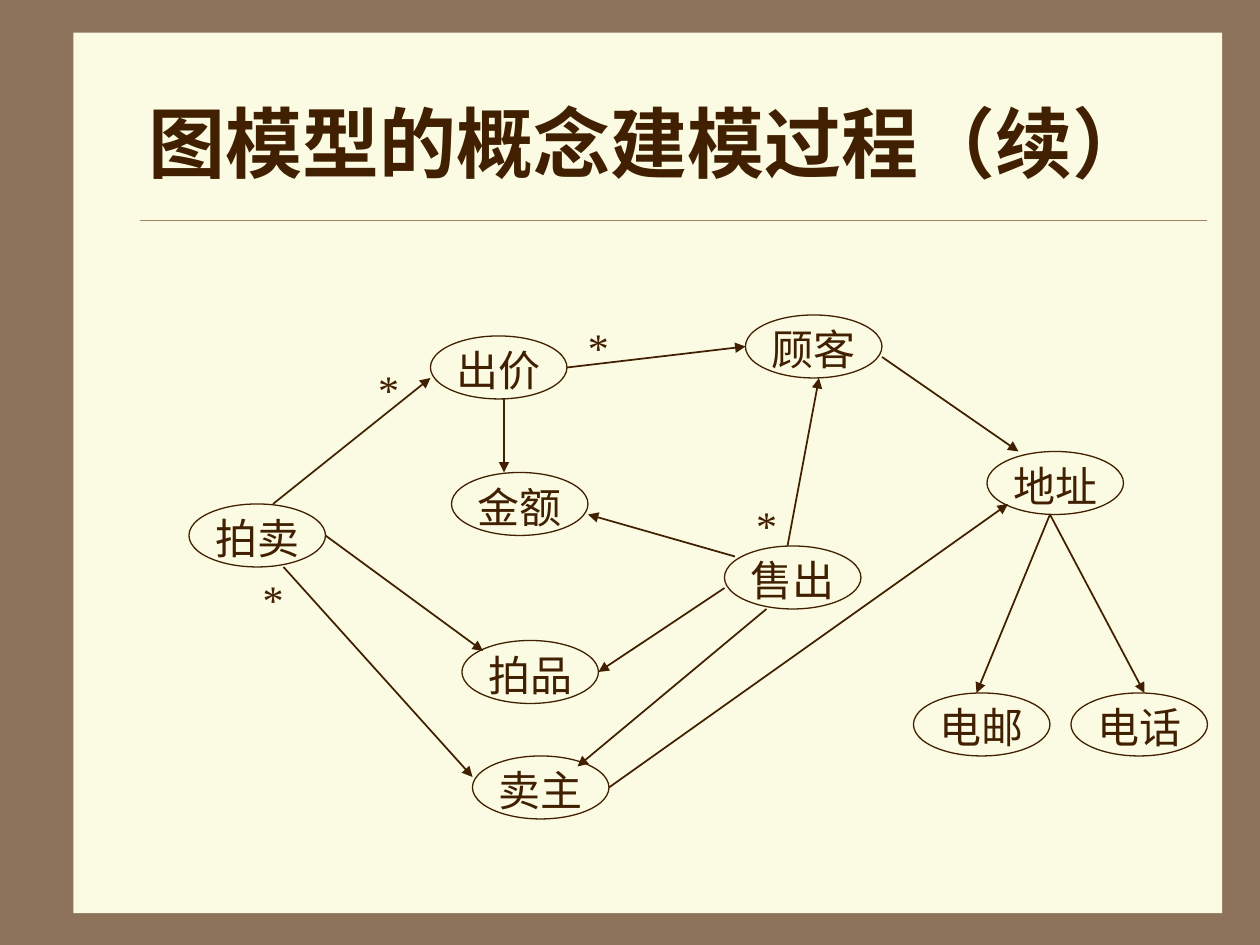
from lxml.etree import SubElement
from pptx import Presentation
from pptx.dml.color import RGBColor
from pptx.enum.shapes import MSO_CONNECTOR, MSO_SHAPE
from pptx.enum.text import MSO_ANCHOR, MSO_AUTO_SIZE, PP_ALIGN
from pptx.oxml.ns import qn
from pptx.util import Cm, Pt

BROWN = RGBColor(0x8C, 0x73, 0x5A)
CREAM = RGBColor(0xFB, 0xFA, 0xE2)
TAN = RGBColor(0xA0, 0x83, 0x66)
INK = RGBColor(0x40, 0x20, 0x00)

BODY = {"name": "Times New Roman", "size": Pt(24), "bold": False}
HEADING = {"name": "Times New Roman", "size": Pt(44), "bold": True}

# The layout sits on a grid of twelve steps to the inch
STEP = 2.54 / 12
NODE_SIZE = (13, 6)
STAR_SIZE = (8, 6)

# Left and top of each ellipse, in grid steps
NODES = {
    "拍卖": (18, 48), "出价": (41, 32), "金额": (43, 45), "拍品": (44, 61),
    "卖主": (45, 72), "售出": (69, 52), "顾客": (71, 30), "地址": (94, 43),
    "电邮": (87, 66), "电话": (102, 66),
}

# Start and end of each arrow, in grid steps
ARROWS = [
    ((26, 48), (41, 36)),   # 拍卖 - 出价
    ((31, 51), (46, 62)),   # 拍卖 - 拍品
    ((27, 54), (45, 74)),   # 拍卖 - 卖主
    ((48, 38), (48, 45)),   # 出价 - 金额
    ((54, 35), (71, 33)),   # 出价 - 顾客
    ((73, 58), (55, 73)),   # 售出 - 卖主
    ((69, 56), (57, 64)),   # 售出 - 拍品
    ((70, 53), (56, 49)),   # 售出 - 金额
    ((75, 52), (78, 36)),   # 售出 - 顾客
    ((84, 34), (97, 43)),   # 顾客 - 地址
    ((58, 75), (96, 48)),   # 卖主 - 地址
    ((100, 49), (93, 66)),  # 地址 - 电邮
    ((100, 49), (109, 66)),  # 地址 - 电话
]
STARS = [(33, 34), (22, 54), (53, 30), (69, 47)]


def grid(*steps):
    return [Cm(step * STEP) for step in steps]


def write(shape, text, style, align, wrap, margins):
    frame = shape.text_frame
    frame.word_wrap = wrap
    frame.auto_size = MSO_AUTO_SIZE.NONE
    frame.vertical_anchor = MSO_ANCHOR.MIDDLE
    for side, margin in zip(("left", "top", "right", "bottom"), margins):
        setattr(frame, f"margin_{side}", Cm(margin))
    para = frame.paragraphs[0]
    para.alignment = align
    span = para.add_run()
    span.text = text
    for name, value in style.items():
        setattr(span.font, name, value)
    span.font.color.rgb = INK


def add_panel(page):
    panel = page.shapes.add_shape(
        MSO_SHAPE.RECTANGLE, Cm(1.48), Cm(0.66), Cm(23.16), Cm(17.75))
    panel.shadow.inherit = False
    panel.fill.solid()
    panel.fill.fore_color.rgb = CREAM
    panel.line.fill.background()


def add_line(page, start, end, color, width, arrow=False):
    line = page.shapes.add_connector(
        MSO_CONNECTOR.STRAIGHT, *grid(*start), *grid(*end))
    line.line.color.rgb = color
    line.line.width = Pt(width)
    properties = line.element.spPr
    if arrow:
        SubElement(properties.find(qn("a:ln")), qn("a:tailEnd"), type="triangle")
    SubElement(properties, qn("a:effectLst"))


def add_title(page, text):
    title = page.shapes.title
    title.left, title.top, title.width, title.height = grid(13, 6, 102, 15)
    write(title, text, HEADING, PP_ALIGN.LEFT, True, (0.25, 0.13, 0.25, 0.13))
    # Bring the title in front of the panel
    title.element.getparent().append(title.element)


def add_node(page, text, corner):
    node = page.shapes.add_shape(MSO_SHAPE.OVAL, *grid(*corner, *NODE_SIZE))
    node.shadow.inherit = False
    node.fill.background()
    node.line.color.rgb = INK
    node.line.width = Pt(0.75)
    write(node, text, BODY, PP_ALIGN.CENTER, False, (0, 0.1, 0, 0))


def add_star(page, corner):
    box = page.shapes.add_textbox(*grid(*corner, *STAR_SIZE))
    write(box, "*", BODY, PP_ALIGN.CENTER, True, (0.25, 0.13, 0.25, 0.13))


def main():
    deck = Presentation()
    deck.slide_width, deck.slide_height = Cm(25.4), Cm(19.05)
    page = deck.slides.add_slide(deck.slide_layouts[5])

    # Frame and heading
    page.background.fill.solid()
    page.background.fill.fore_color.rgb = BROWN
    add_panel(page)
    add_line(page, (13.3, 21), (115, 21), TAN, 0.25)
    add_title(page, "图模型的概念建模过程（续）")

    # Graph: nodes, arrows and multiplicity marks
    for text, corner in NODES.items():
        add_node(page, text, corner)
    for start, end in ARROWS:
        add_line(page, start, end, INK, 1, arrow=True)
    for corner in STARS:
        add_star(page, corner)

    deck.save("out.pptx")


if __name__ == "__main__":
    main()
